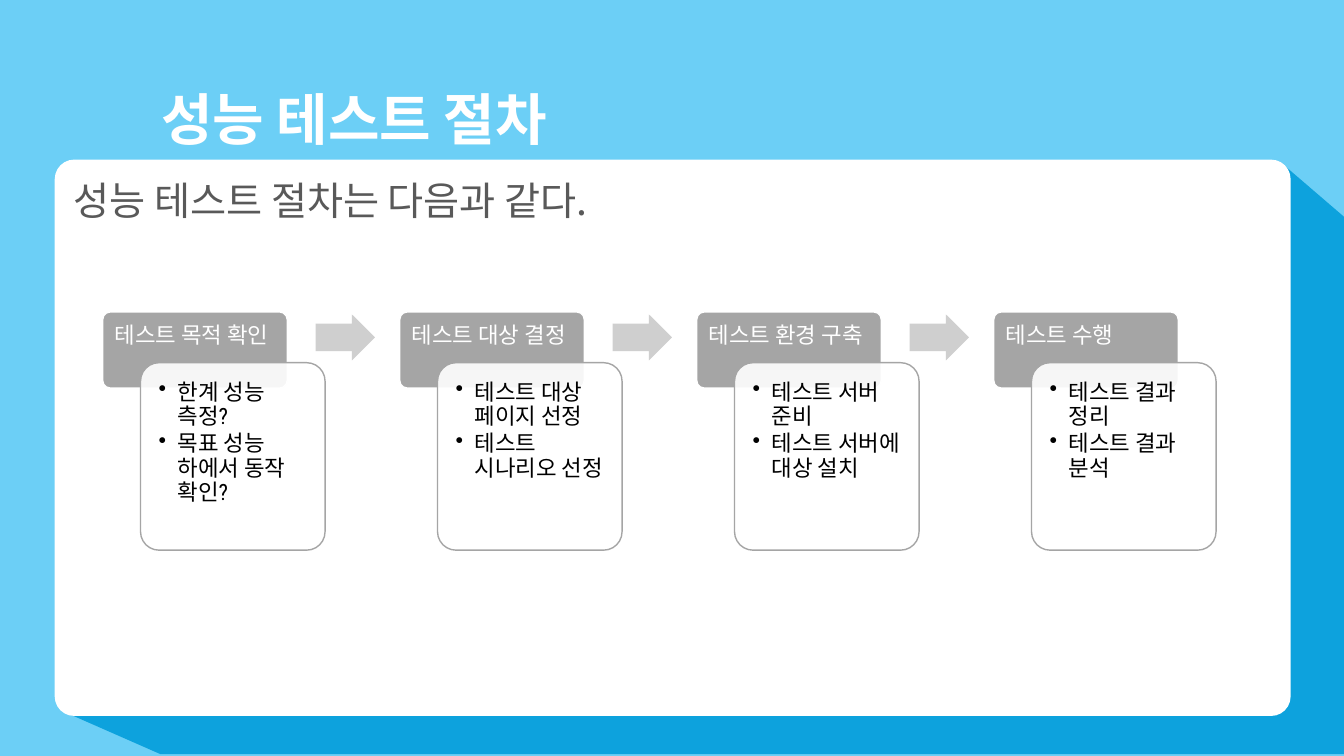
from lxml import etree
from pptx import Presentation
from pptx.dml.color import RGBColor
from pptx.enum import shapes, text
from pptx.oxml.ns import qn
from pptx.util import Pt

COLORS = {
    "sky": "6CCFF6", "shadow": "0DA2DD", "white": "FFFFFF", "black": "000000",
    "body": "595959", "header": "A5A5A5", "arrow": "CFCFCF",
}
NOTO, ROBOTO = "Noto Sans CJK KR", "Roboto Condensed"
STEPS = [
    ("테스트 목적 확인", ["한계 성능 측정?", "목표 성능 하에서 동작 확인?"]),
    ("테스트 대상 결정", ["테스트 대상 페이지 선정", "테스트 시나리오 선정"]),
    ("테스트 환경 구축", ["테스트 서버 준비", "테스트 서버에 대상 설치"]),
    ("테스트 수행", ["테스트 결과 정리", "테스트 결과 분석"]),
]
STEP_LEFT, STEP_PITCH = 73.4, 212.15


def rgb(name):
    return RGBColor.from_string(COLORS[name])


def style(sp, fill, line=None, alpha=None):
    sp.shadow.inherit = False
    sp.fill.solid()
    sp.fill.fore_color.rgb = rgb(fill)
    if alpha:
        color = sp.fill._xPr.find(qn("a:solidFill"))[0]
        etree.SubElement(color, qn("a:alpha"), val=str(alpha * 1000))
    if line:
        sp.line.color.rgb = rgb(line)
        sp.line.width = Pt(1)
    else:
        sp.line.fill.background()


def add_box(s, kind, box, fill, adj=(), **kw):
    sp = s.shapes.add_shape(kind, *map(Pt, box))
    for i, value in enumerate(adj):
        sp.adjustments[i] = value
    style(sp, fill, **kw)
    return sp


def add_bullet(p, indent=13.5):
    pPr = p._p.get_or_add_pPr()
    pPr.set("marL", str(Pt(indent)))
    pPr.set("indent", str(-Pt(indent)))
    etree.SubElement(pPr, qn("a:buChar"), char="•")


def put_text(sp, lines, size, color, font, ea=None, bold=False, bullet=False,
             after=0, margins=(7.2, 3.6, 7.2, 3.6)):
    tf = sp.text_frame
    tf.word_wrap = True
    tf.vertical_anchor = text.MSO_ANCHOR.TOP
    tf.margin_left, tf.margin_top, tf.margin_right, tf.margin_bottom = map(Pt, margins)
    for i, line in enumerate(lines):
        p = tf.add_paragraph() if i else tf.paragraphs[0]
        if bullet:
            add_bullet(p)
        p.alignment = text.PP_ALIGN.LEFT
        p.line_spacing = 0.9
        p.space_after = Pt(after)
        r = p.add_run()
        r.text = line
        r.font.size, r.font.bold, r.font.name = Pt(size), bold, font
        r.font.color.rgb = rgb(color)
        if ea:
            etree.SubElement(r._r.get_or_add_rPr(), qn("a:ea"), typeface=ea)


def add_label(s, box, label, **kw):
    put_text(s.shapes.add_textbox(*map(Pt, box)), [label], font=NOTO, ea=NOTO, **kw)


def add_background(s):
    kinds = shapes.MSO_SHAPE
    add_box(s, kinds.RECTANGLE, (0, 0, 960, 540), "sky")
    # Long shadow cast by the panel
    fb = s.shapes.build_freeform(Pt(916.5), Pt(117.4))
    fb.add_line_segments([(Pt(x), Pt(y)) for x, y in
                          [(960, 154.8), (960, 538.6), (114.5, 538.6), (43.9, 507.6)]])
    style(fb.convert_to_shape(), "shadow")
    add_box(s, kinds.ROUNDED_RECTANGLE, (39.1, 114, 882.8, 397.4), "white", [0.035])


def add_step(s, x, title, items):
    rounded = shapes.MSO_SHAPE.ROUNDED_RECTANGLE
    header = add_box(s, rounded, (x, 222.8, 131.8, 54.4), "header", [0.1], line="white")
    put_text(header, [title], 16, "white", ROBOTO, after=5.6, margins=(7, 7, 7, 21.4))
    card = add_box(s, rounded, (x + 27, 259.1, 131.8, 133.9), "white", [0.1],
                   line="header", alpha=90)
    put_text(card, items, 16, "black", ROBOTO, bullet=True, after=2.4, margins=(9.1,) * 4)


def main():
    prs = Presentation()
    prs.slide_width, prs.slide_height = Pt(960), Pt(540)
    s = prs.slides.add_slide(prs.slide_layouts[6])
    add_background(s)

    # Title and lead sentence
    add_label(s, (108, 62.6, 511.2, 40.3), "성능 테스트 절차", size=40, color="white", bold=True)
    add_label(s, (45.4, 126, 453.6, 59.8), "성능 테스트 절차는 다음과 같다.", size=28, color="body")

    # Process steps with an arrow between neighbours
    for i, (title, items) in enumerate(STEPS):
        x = STEP_LEFT + i * STEP_PITCH
        add_step(s, x, title, items)
        if i < len(STEPS) - 1:
            add_box(s, shapes.MSO_SHAPE.RIGHT_ARROW, (x + 152, 224.6, 42.4, 32.8),
                    "arrow", [0.6, 0.5])

    prs.save("out.pptx")


if __name__ == "__main__":
    main()
